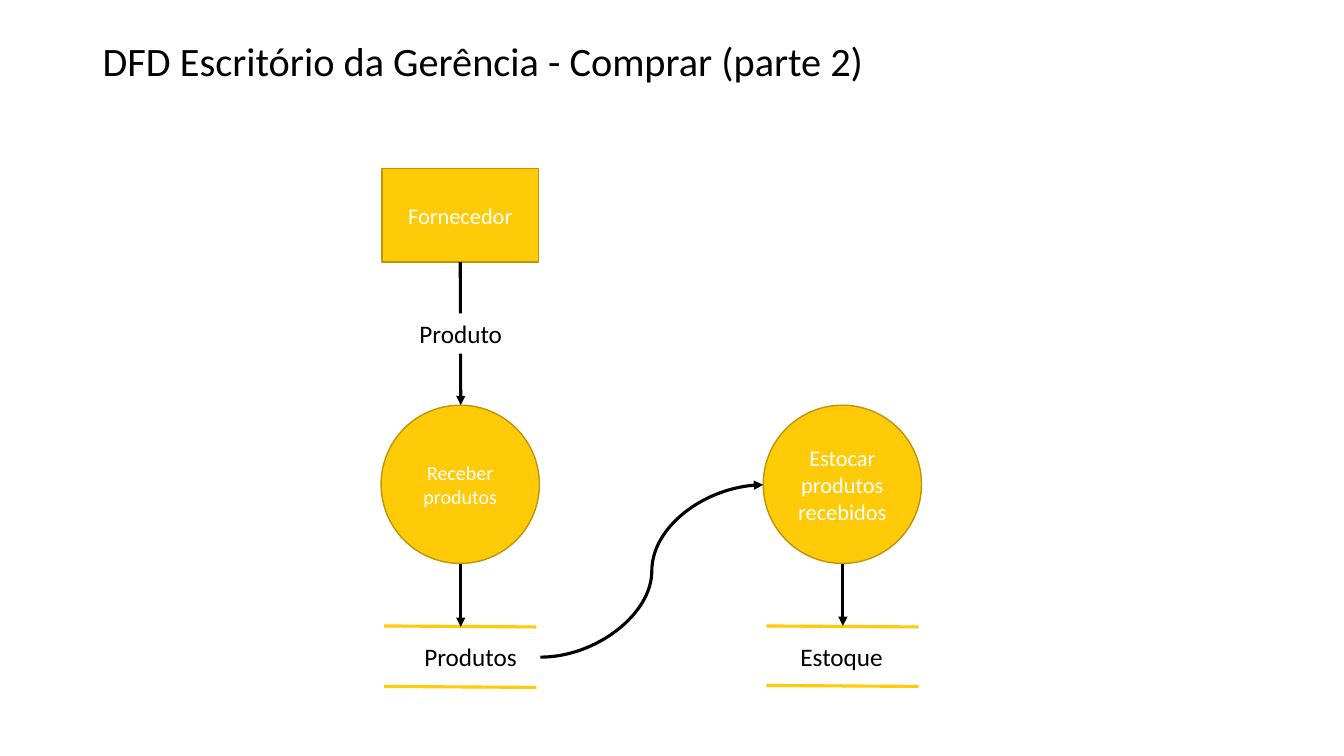
"""Build the data flow diagram slide for purchasing, part 2."""
from lxml.etree import SubElement
from pptx import Presentation
from pptx.dml.color import RGBColor
from pptx.enum.shapes import MSO_CONNECTOR, MSO_SHAPE
from pptx.enum.text import MSO_ANCHOR, PP_ALIGN
from pptx.oxml.ns import qn
from pptx.util import Inches, Pt

GOLD = RGBColor(0xFF, 0xCA, 0x08)
BROWN = RGBColor(0xBD, 0x95, 0x06)
BLACK = RGBColor(0, 0, 0)
WHITE = RGBColor(0xFF, 0xFF, 0xFF)

deck = Presentation()
deck.slide_width, deck.slide_height = Inches(13.33), Inches(7.5)
slide = deck.slides.add_slide(deck.slide_layouts[6])


def write(box, text, size, color, align=PP_ALIGN.CENTER, wrap=True):
    frame = box.text_frame
    frame.word_wrap = wrap
    frame.vertical_anchor = MSO_ANCHOR.MIDDLE
    par = frame.paragraphs[0]
    par.text = text
    par.alignment = align
    par.font.name = "Calibri"
    par.font.size = Pt(size)
    par.font.color.rgb = color
    return par


def link(start, end, color=BLACK, kind=MSO_CONNECTOR.STRAIGHT):
    line = slide.shapes.add_connector(kind, *map(Inches, start + end))
    line.line.color.rgb = color
    line.line.width = Pt(2.25)
    if color == BLACK:
        SubElement(line.line._get_or_add_ln(), qn("a:tailEnd"), type="triangle")
    SubElement(line._element.spPr, qn("a:effectLst"))
    return line


title = slide.shapes.add_textbox(*map(Inches, (0.92, 0.4, 11.5, 0.46)))
par = write(title, "DFD Escritório da Gerência - Comprar (parte 2)", 28.8, BLACK, PP_ALIGN.LEFT)
par.line_spacing = 0.9

nodes = {}
for kind, text, size, *place in [
    (MSO_SHAPE.RECTANGLE, "Fornecedor", 16, 3.79, 1.67, 1.55, 0.93),
    (MSO_SHAPE.OVAL, "Receber produtos", 14.3, 3.78, 4.02, 1.57, 1.57),
    (MSO_SHAPE.OVAL, "Estocar produtos recebidos", 16, 7.57, 4.02, 1.57, 1.57),
]:
    node = slide.shapes.add_shape(kind, *map(Inches, place))
    node.shadow.inherit = False
    node.fill.solid()
    node.fill.fore_color.rgb = GOLD
    node.line.color.rgb = BROWN
    node.line.width = Pt(1)
    write(node, text, size, WHITE)
    nodes[text] = node

for text, left, base, start, width in [
    ("Produtos", 3.81, 6.81, 4.11, 1.13),
    ("Estoque", 7.6, 6.8, 7.84, 1.03),
]:
    for top in (6.21, base):
        link((left, top), (left + 1.51, top + 0.01), GOLD)
    store = slide.shapes.add_textbox(*map(Inches, (start, 6.31, width, 0.4)))
    write(store, text, 18, BLACK, PP_ALIGN.LEFT, False)

supply = link((4.57, 2.61), (4.57, 4.02))
supply.begin_connect(nodes["Fornecedor"], 2)
link((4.57, 5.6), (4.57, 6.22))
link((8.36, 5.6), (8.36, 6.21))
link((5.36, 6.52), (7.57, 4.81), kind=MSO_CONNECTOR.CURVE)

label = slide.shapes.add_shape(MSO_SHAPE.RECTANGLE, *map(Inches, (3.95, 3.11, 1.24, 0.4)))
label.shadow.inherit = False
label.fill.solid()
label.fill.fore_color.rgb = WHITE
label.line.fill.background()
write(label, "Produto", 18, BLACK)

deck.save("out.pptx")
